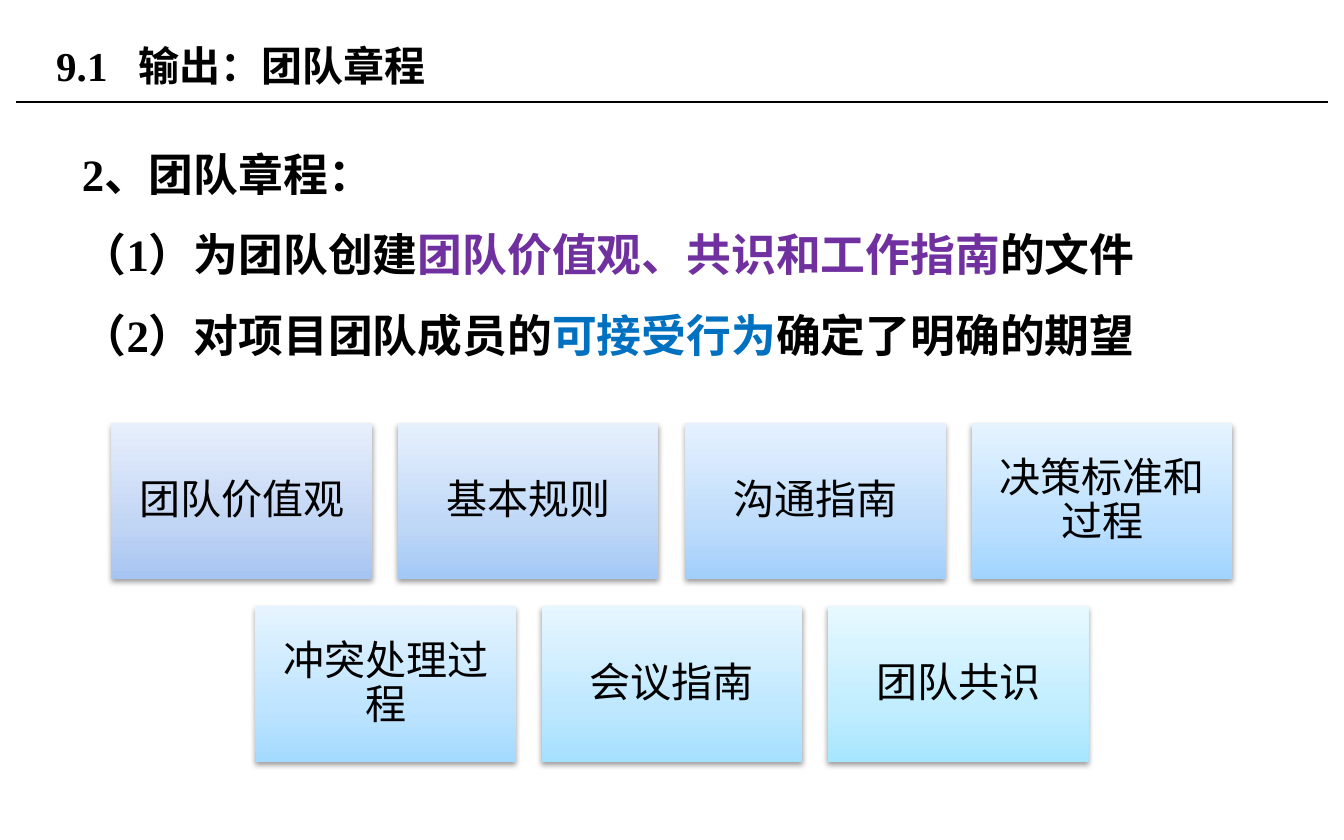
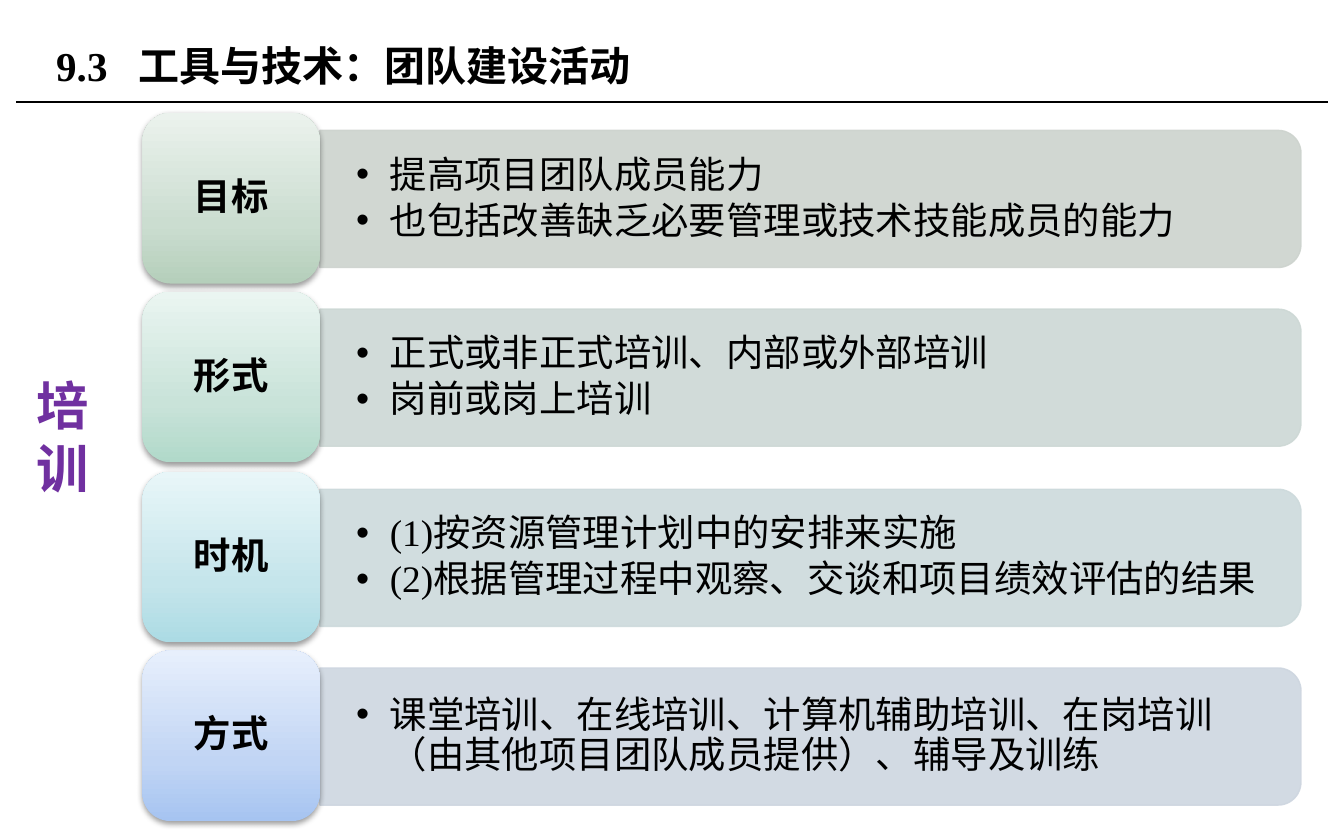
from lxml.etree import SubElement
from pptx import Presentation
from pptx.dml.color import RGBColor
from pptx.enum.shapes import MSO_CONNECTOR, MSO_SHAPE
from pptx.enum.text import MSO_ANCHOR, PP_ALIGN
from pptx.oxml import parse_xml
from pptx.oxml.ns import nsdecls, qn
from pptx.util import Emu, Pt

EMU_PER_PX = 9144  # 100 px to the inch

# Colours
BLACK = RGBColor(0x00, 0x00, 0x00)
PURPLE = RGBColor(0x70, 0x30, 0xA0)
BLUE = RGBColor(0x00, 0x70, 0xC0)

# Text formats
SERIF, SANS = "Times New Roman", "Lato"
TITLE = {"name": SERIF, "size": Pt(22), "bold": True, "color": BLACK}
BODY = {**TITLE, "size": Pt(24)}
CARD = {"name": SANS, "size": Pt(22), "bold": False, "color": BLACK}
TAB = {**TITLE, "size": Pt(20)}
BULLET = {**TAB, "bold": False}
BULLET_SANS = {**BULLET, "name": SANS}
SIDE = {"name": SANS, "size": Pt(28), "bold": True, "color": PURPLE}

# Paragraph formats
OPEN_LINES = {"line_spacing": 1.5}
CENTRED = {"alignment": PP_ALIGN.CENTER, "line_spacing": 0.9}
LISTED = {"level": 1, "line_spacing": 0.9, "space_after": Pt(3)}


def px(value):
    return Emu(round(value) * EMU_PER_PX)


class SlideBuilder:
    """Holds the deck, its shared style and the current slide."""

    def __init__(self):
        self.deck = Presentation()
        self.deck.slide_width, self.deck.slide_height = px(1000), px(625)
        self.slide = None

    def page(self, number, heading, title_width):
        """Start a slide with the shared title and rule."""
        self.slide = self.deck.slides.add_slide(self.deck.slide_layouts[6])
        self.rule(12, 76, 988)
        box = self.text((32, 13, title_width, 71), [[(f"{number}\t{heading}", TITLE)]],
                        frame_format={"vertical_anchor": MSO_ANCHOR.MIDDLE})
        properties = box.text_frame.paragraphs[0]._p.get_or_add_pPr()
        stops = SubElement(properties, qn("a:tabLst"))
        SubElement(stops, qn("a:tab"), pos=str(px(61)), algn="l")

    def rule(self, left, top, right):
        line = self.slide.shapes.add_connector(
            MSO_CONNECTOR.STRAIGHT, px(left), px(top), px(right), px(top))
        line.line.color.rgb = BLACK
        line.line.width = Pt(0.75)
        SubElement(line._element.spPr, qn("a:effectLst"))

    def fill_text(self, box, paragraphs, para_format, frame_format):
        """Fill a box; each paragraph is a list of (text, format) spans."""
        frame = box.text_frame
        frame.word_wrap = True
        for key, value in frame_format.items():
            setattr(frame, key, value)
        for index, spans in enumerate(paragraphs):
            para = frame.add_paragraph() if index else frame.paragraphs[0]
            for key, value in para_format.items():
                setattr(para, key, value)
            for words, span_format in spans:
                span = para.add_run()
                span.text = words
                for key, value in span_format.items():
                    if key == "color":
                        span.font.color.rgb = value
                    else:
                        setattr(span.font, key, value)

    def text(self, area, paragraphs, para_format={}, frame_format={}):
        box = self.slide.shapes.add_textbox(*map(px, area))
        self.fill_text(box, paragraphs, para_format, frame_format)
        return box

    def bullets(self, area, paragraphs):
        box = self.text(area, paragraphs, LISTED, {
            "vertical_anchor": MSO_ANCHOR.MIDDLE,
            "margin_left": px(27), "margin_right": px(27),
            "margin_top": px(14), "margin_bottom": px(14)})
        for para in box.text_frame.paragraphs:
            properties = para._p.get_or_add_pPr()
            properties.set("marL", str(px(25)))
            properties.set("indent", str(px(-25)))
            SubElement(properties, qn("a:buFont"), typeface="Arial")
            SubElement(properties, qn("a:buChar"), char="•")

    def tile(self, kind, area, label, span_format, shades, margins):
        """Shaded, shadowed shape with a centred label; shades run upwards."""
        shape = self.slide.shapes.add_shape(kind, *map(px, area))
        shape.line.fill.background()
        shape.shadow.inherit = False
        properties = shape._element.spPr
        stops = "".join(
            f'<a:gs pos="{position}"><a:srgbClr val="{shade}"/></a:gs>'
            for position, shade in zip((0, 35000, 100000), shades.split()))
        properties.find(qn("a:prstGeom")).addnext(parse_xml(
            f'<a:gradFill {nsdecls("a")} rotWithShape="1"><a:gsLst>{stops}</a:gsLst>'
            '<a:lin ang="16200000" scaled="0"/></a:gradFill>'))
        properties.find(qn("a:effectLst")).append(parse_xml(
            f'<a:outerShdw {nsdecls("a")} blurRad="40000" dist="20000" dir="5400000" '
            'rotWithShape="0"><a:srgbClr val="000000"><a:alpha val="38000"/>'
            '</a:srgbClr></a:outerShdw>'))
        across, down = map(px, margins)
        self.fill_text(shape, [[(label, span_format)]], CENTRED, {
            "vertical_anchor": MSO_ANCHOR.MIDDLE,
            "margin_left": across, "margin_right": across,
            "margin_top": down, "margin_bottom": down})

    def band(self, left, middle, length, thickness, color):
        """Translucent band with its right end rounded."""
        shape = self.slide.shapes.add_shape(
            MSO_SHAPE.ROUND_2_SAME_RECTANGLE,
            px(left + (length - thickness) / 2), px(middle - length / 2),
            px(thickness), px(length))
        shape.rotation = 90
        shape.shadow.inherit = False
        shape.fill.solid()
        shape.fill.fore_color.rgb = color
        shape.line.color.rgb = color
        shape.line.width = Pt(0.75)
        for tint in shape._element.spPr.iter(qn("a:srgbClr")):
            SubElement(tint, qn("a:alpha"), val="90000")


def team_charter(builder):
    builder.page("9.1", "输出：团队章程", 638)
    builder.text((51, 84, 898, 390), [
        [("2、团队章程：", BODY)],
        [("（1）为团队创建", BODY),
         ("团队价值观、共识和工作指南", {**BODY, "color": PURPLE}),
         ("的文件", BODY)],
        [("（2）对项目团队成员的", BODY),
         ("可接受行为", {**BODY, "color": BLUE}),
         ("确定了明确的期望", BODY)],
    ], OPEN_LINES)

    # Centred rows of cards
    rows = [
        [("团队价值观", "A6C4F1 C1D5F4 E7EFFC"),
         ("基本规则", "A3C8F6 BFD8F7 E6F0FD"),
         ("沟通指南", "A1CEFB BEDCFB E5F1FF"),
         ("决策标准和过程", "A0D4FF BCE0FF E5F3FF")],
        [("冲突处理过程", "A3DAFF BEE4FF E6F4FF"),
         ("会议指南", "A5E0FF BFE8FF E7F6FF"),
         ("团队共识", "A7E6FF C1EDFF E7F8FF")],
    ]
    width, height, step_across, step_down = 194, 116, 640 / 3, 136
    for row, cards in enumerate(rows):
        first = 500 - (len(cards) - 1) * step_across / 2 - width / 2
        for column, (label, shades) in enumerate(cards):
            area = (first + column * step_across, 315 + row * step_down, width, height)
            builder.tile(MSO_SHAPE.RECTANGLE, area, label, CARD, shades, (9, 9))


def team_building(builder):
    builder.page("9.3", "工具与技术：团队建设活动", 728)

    # One band, list and tab per topic
    topics = [
        ("目标", RGBColor(0xCD, 0xD3, 0xCE), "B5CFBB CBDDD0 EBF2ED",
         [[("提高项目团队成员能力", BULLET)],
          [("也包括改善缺乏必要管理或技术技能成员的能力", BULLET_SANS)]]),
        ("形式", RGBColor(0xCD, 0xD8, 0xD5), "B1D9CA C9E3D9 EAF5F1",
         [[("正式或非正式培训、内部或外部培训", BULLET)],
          [("岗前或岗上培训", BULLET)]]),
        ("时机", RGBColor(0xCD, 0xDA, 0xDC), "ACDBE4 C5E5EB E8F6F8",
         [[("(1)按资源管理计划中的安排来实施", BULLET)],
          [("(2)根据管理过程中观察、交谈和项目绩效评估的结果", BULLET)]]),
        ("方式", RGBColor(0xCE, 0xD6, 0xE0), "A6C4F1 C1D5F4 E7EFFC",
         [[("课堂培训、在线培训、计算机辅助培训、在岗培训"
            "（由其他项目团队成员提供）、辅导及训练", BULLET)]]),
    ]
    for index, (label, color, shades, points) in enumerate(topics):
        top = 84 + index * 400 / 3
        middle = top + 64
        builder.band(238, middle, 730, 102, color)
        builder.bullets((238, middle - 46, 725, 92), points)
        builder.tile(MSO_SHAPE.ROUNDED_RECTANGLE, (106, top, 132, 127),
                     label, TAB, shades, (8, 4))

    # Side heading
    builder.text((17, 273, 69, 104), [[("培", SIDE)], [("训", SIDE)]])


def main():
    builder = SlideBuilder()
    team_charter(builder)
    team_building(builder)
    builder.deck.save("out.pptx")


if __name__ == "__main__":
    main()
